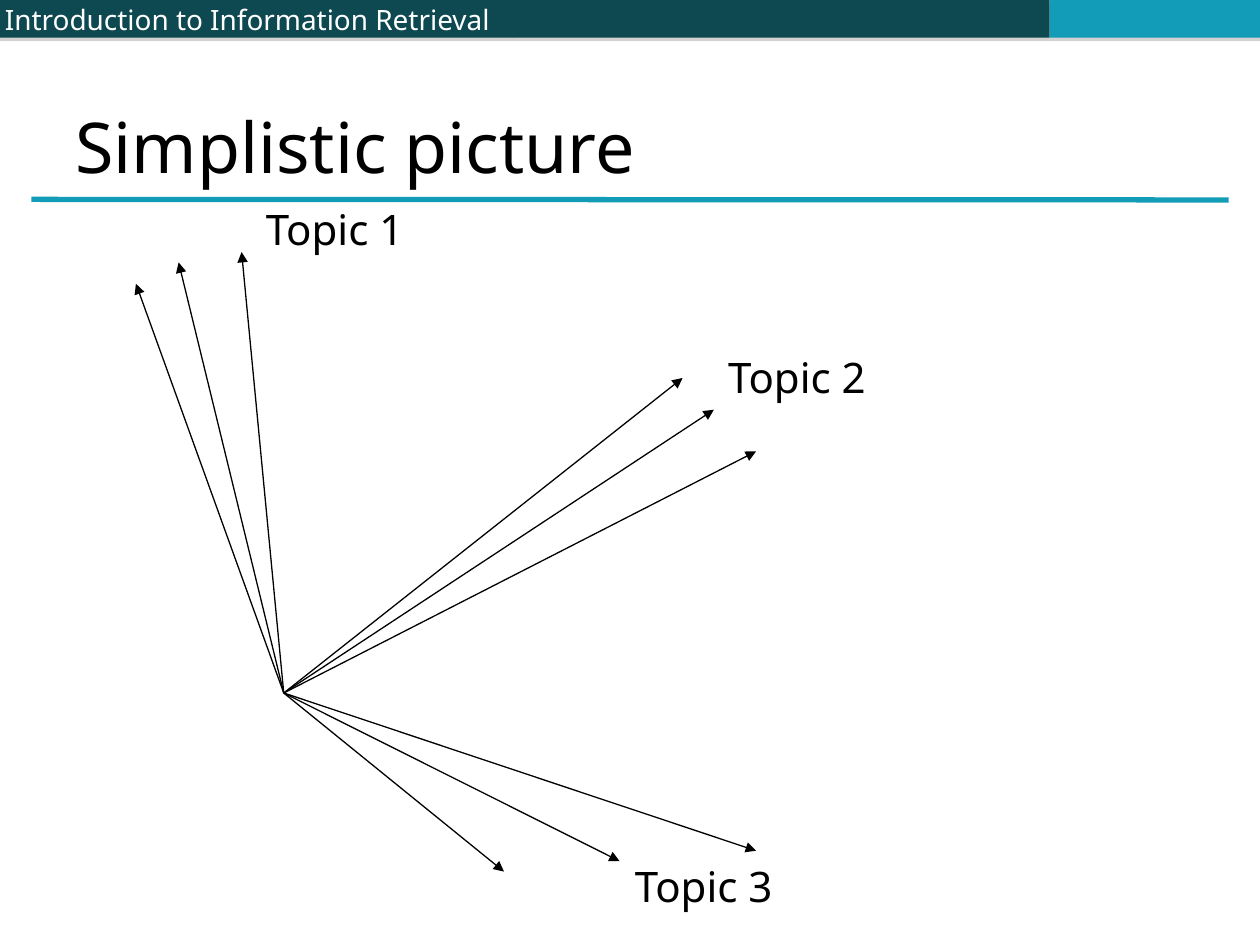
import dataclasses

import lxml.etree
import pptx
import pptx.dml.color
import pptx.enum.shapes
import pptx.enum.text
import pptx.oxml.ns
import pptx.util

Cm = pptx.util.Cm
ANCHOR = pptx.enum.text.MSO_ANCHOR
COLOURS = {"bar": "0E4851", "accent": "139CB7", "shadow": "808080", "text": "000000", "header": "FFFFFF"}
FONT = "Noto Sans"
BAR_HEIGHT = 0.76
ORIGIN = (5.72, 13.97)


@dataclasses.dataclass
class Bar:
    left: float
    width: float
    colour: str


@dataclasses.dataclass
class Topic:
    label: str
    left: float
    top: float
    arrow_tips: list[tuple[float, float]]


BARS = [Bar(0, 10.36, "bar"), Bar(10.36, 10.8, "bar"), Bar(21.16, 4.24, "accent")]
TOPICS = [
    Topic("Topic 1", 5.26, 4.11, [(2.74, 5.72), (3.6, 5.29), (4.87, 5.08)]),
    Topic("Topic 2", 14.58, 7.09, [(13.76, 7.62), (14.39, 8.26), (15.24, 9.1)]),
    Topic("Topic 3", 12.7, 17.35, [(12.49, 17.36), (10.16, 17.57), (15.24, 17.15)]),
]


def rgb(name: str) -> pptx.dml.color.RGBColor:
    return pptx.dml.color.RGBColor.from_string(COLOURS[name])


def add_xml(parent, tag: str, **attributes: str):
    return lxml.etree.SubElement(parent, pptx.oxml.ns.qn(tag), attributes)


def write_text(shape, text: str, *, size: float, colour: str = "text", anchor=ANCHOR.TOP,
               insets: tuple = (0.1, 0, 0.1, 0), wrap: bool = True) -> None:
    frame = shape.text_frame
    frame.margin_left, frame.margin_top, frame.margin_right, frame.margin_bottom = map(Cm, insets)
    frame.vertical_anchor = anchor
    frame.auto_size = pptx.enum.text.MSO_AUTO_SIZE.NONE
    frame.word_wrap = wrap
    paragraph = frame.paragraphs[0]
    paragraph.alignment = pptx.enum.text.PP_ALIGN.LEFT
    run = paragraph.add_run()
    run.text = text
    run.font.name = FONT
    run.font.size = pptx.util.Pt(size)
    run.font.color.rgb = rgb(colour)


def draw_bar(slide, bar: Bar) -> None:
    shape = slide.shapes.add_shape(
        pptx.enum.shapes.MSO_SHAPE.RECTANGLE, Cm(bar.left), 0, Cm(bar.width), Cm(BAR_HEIGHT))
    shape.fill.solid()
    shape.fill.fore_color.rgb = rgb(bar.colour)
    shape.line.fill.background()
    shape.shadow.inherit = False
    effects = shape._element.spPr.find(pptx.oxml.ns.qn("a:effectLst"))
    shadow = add_xml(effects, "a:outerShdw", blurRad="0", dist=str(pptx.util.Pt(2)),
                     dir="5400000", algn="ctr", rotWithShape="0")
    colour = add_xml(shadow, "a:srgbClr", val=COLOURS["shadow"])
    add_xml(colour, "a:alpha", val="35000")


def draw_line(slide, start: tuple[float, float], end: tuple[float, float], *,
              colour: str, width: float, arrow: bool = False) -> None:
    connector = slide.shapes.add_connector(
        pptx.enum.shapes.MSO_CONNECTOR.STRAIGHT, *map(Cm, start + end))
    connector.line.color.rgb = rgb(colour)
    connector.line.width = pptx.util.Pt(width)
    if arrow:
        add_xml(connector.line._get_or_add_ln(), "a:tailEnd", type="triangle")
    add_xml(connector._element.spPr, "a:effectLst")


def draw_topic(slide, topic: Topic) -> None:
    for tip in topic.arrow_tips:
        draw_line(slide, ORIGIN, tip, colour="text", width=0.75, arrow=True)
    label = slide.shapes.add_textbox(Cm(topic.left), Cm(topic.top), Cm(3.05), Cm(1.02))
    write_text(label, topic.label, size=24, wrap=False)


def main() -> None:
    presentation = pptx.Presentation()
    presentation.slide_width, presentation.slide_height = Cm(25.4), Cm(19.05)
    slide = presentation.slides.add_slide(presentation.slide_layouts[5])

    for bar in BARS:
        draw_bar(slide, bar)
    header = slide.shapes.add_textbox(0, Cm(-0.38), Cm(10.36), Cm(1.55))
    write_text(header, "Introduction to Information Retrieval", size=16, colour="header",
               anchor=ANCHOR.MIDDLE)

    title = slide.shapes.title
    title.left, title.top, title.width, title.height = Cm(1.27), 0, Cm(22.86), Cm(3.94)
    write_text(title, "Simplistic picture", size=40, anchor=ANCHOR.BOTTOM,
               insets=(0.25, 0.15, 0.36, 0.15))
    draw_line(slide, (0.63, 4.02), (24.77, 4.03), colour="accent", width=3)

    for topic in TOPICS:
        draw_topic(slide, topic)
    presentation.save("out.pptx")


if __name__ == "__main__":
    main()
